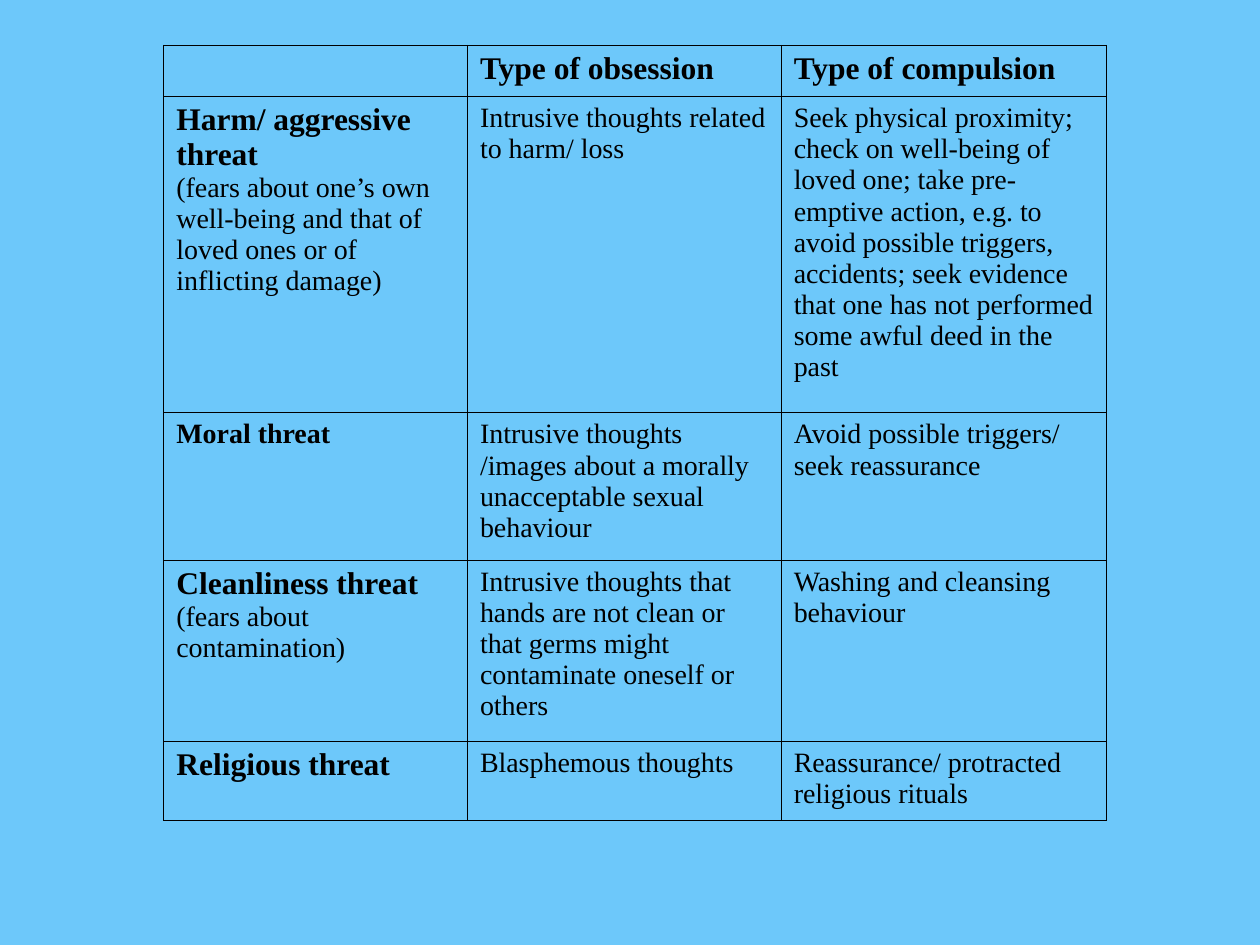
"""Build a slide with a table of threats, obsessions and compulsions."""
from lxml.etree import SubElement
from pptx import Presentation
from pptx.dml.color import RGBColor
from pptx.oxml.ns import qn
from pptx.util import Inches, Pt

SKY = RGBColor(0x6D, 0xC8, 0xFA)
BLACK = RGBColor(0, 0, 0)
FONT = "Times New Roman"
HEADING = (18, True)
SUBHEADING = (16, True)
BODY = (16, False)

COLUMN_WIDTHS = [2.41, 2.49, 2.58]
ROW_HEIGHTS = [0.4, 2.51, 1.17, 1.44, 0.63]
ROWS = [
    [
        [],
        [("Type of obsession", HEADING)],
        [("Type of compulsion", HEADING)],
    ],
    [
        [
            ("Harm/ aggressive threat", HEADING),
            ("(fears about one’s own well-being and that of loved ones "
             "or of inflicting damage)", BODY),
        ],
        [("Intrusive thoughts related to harm/ loss", BODY)],
        [("Seek physical proximity; check on well-being of loved one; "
          "take pre-emptive action, e.g. to avoid possible triggers, accidents; "
          "seek evidence that one has not performed some awful deed in the past", BODY)],
    ],
    [
        [("Moral threat", SUBHEADING)],
        [("Intrusive thoughts /images about a morally unacceptable sexual behaviour", BODY)],
        [("Avoid possible triggers/ seek reassurance", BODY)],
    ],
    [
        [("Cleanliness threat", HEADING), ("(fears about contamination)", BODY)],
        [("Intrusive thoughts that hands are not clean or that germs "
          "might contaminate oneself or others", BODY)],
        [("Washing and cleansing behaviour", BODY)],
    ],
    [
        [("Religious threat", HEADING)],
        [("Blasphemous thoughts", BODY)],
        [("Reassurance/ protracted religious rituals", BODY)],
    ],
]


def style_cell(cell):
    properties = cell._tc.get_or_add_tcPr()
    for side in ("a:lnL", "a:lnR", "a:lnT", "a:lnB"):
        line = SubElement(properties, qn(side), w=str(Pt(0.45)))
        fill = SubElement(line, qn("a:solidFill"))
        SubElement(fill, qn("a:srgbClr"), val=str(BLACK))
    cell.fill.background()
    cell.margin_left = cell.margin_right = Inches(0.1)
    cell.margin_top = cell.margin_bottom = Inches(0.05)


def write_cell(cell, lines):
    frame = cell.text_frame
    for index, (text, (size, bold)) in enumerate(lines):
        para = frame.add_paragraph() if index else frame.paragraphs[0]
        span = para.add_run()
        span.text = text
        span.font.name = FONT
        span.font.size = Pt(size)
        span.font.bold = bold
        span.font.color.rgb = BLACK


def main():
    deck = Presentation()
    deck.slide_width, deck.slide_height = Inches(10), Inches(7.5)
    page = deck.slides.add_slide(deck.slide_layouts[6])
    page.background.fill.solid()
    page.background.fill.fore_color.rgb = SKY

    table = page.shapes.add_table(
        len(ROWS), len(COLUMN_WIDTHS), Inches(1.3), Inches(0.36),
        Inches(sum(COLUMN_WIDTHS)), Inches(sum(ROW_HEIGHTS))).table
    table.first_row = table.horz_banding = False
    for column, width in zip(table.columns, COLUMN_WIDTHS):
        column.width = Inches(width)
    for row, height, contents in zip(table.rows, ROW_HEIGHTS, ROWS):
        row.height = Inches(height)
        for cell, lines in zip(row.cells, contents):
            style_cell(cell)
            write_cell(cell, lines)
    deck.save("out.pptx")


if __name__ == "__main__":
    main()
